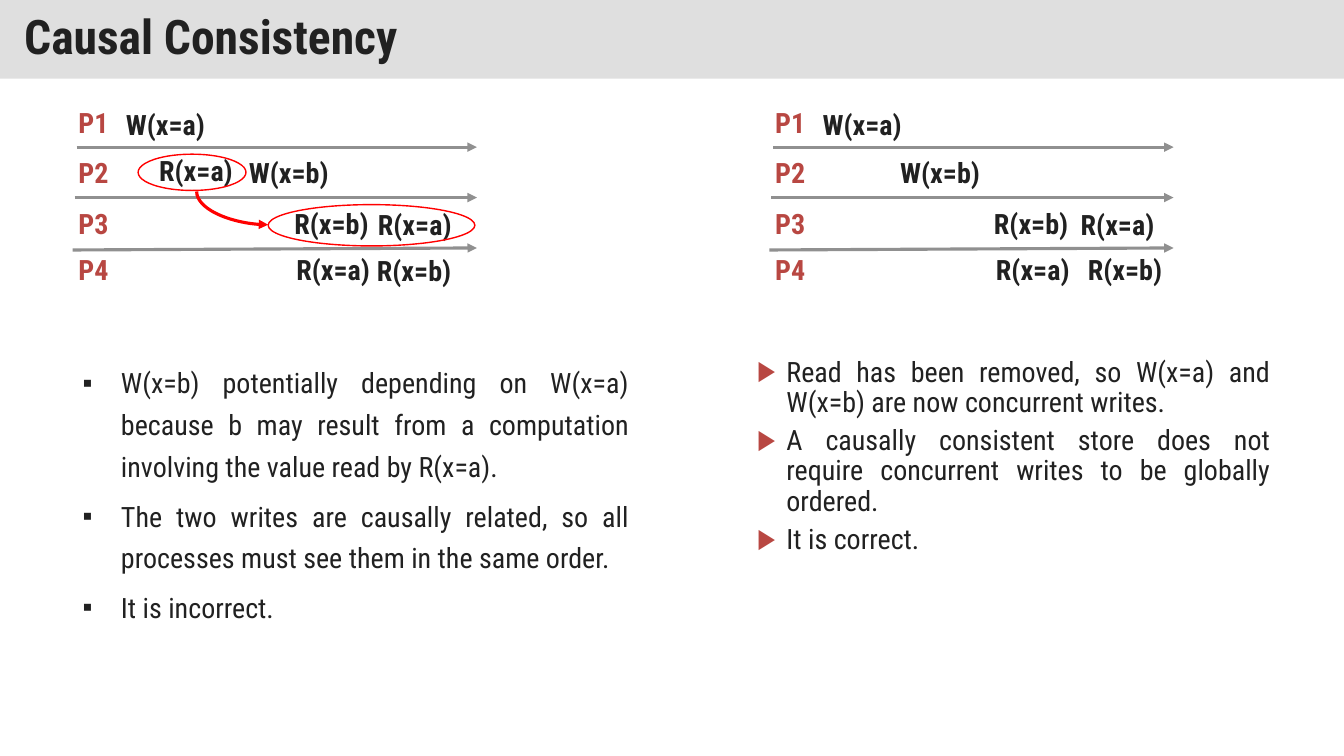
from lxml import etree
from pptx import Presentation
from pptx.dml.color import RGBColor
from pptx.enum.shapes import MSO_CONNECTOR, MSO_SHAPE
from pptx.enum.text import MSO_ANCHOR, MSO_AUTO_SIZE, PP_ALIGN
from pptx.oxml.ns import qn
from pptx.util import Inches, Pt

FONT = "Roboto Condensed"
INK = RGBColor(0x21, 0x21, 0x21)
BRICK = RGBColor(0xB8, 0x47, 0x42)
SILVER = RGBColor(0xC0, 0xC0, 0xC0)
GREY = RGBColor(0x90, 0x90, 0x90)
RED = RGBColor(0xFF, 0x00, 0x00)
STRAIGHT, CURVE = MSO_CONNECTOR.STRAIGHT, MSO_CONNECTOR.CURVE
OVAL = MSO_SHAPE.OVAL
LEFT, JUSTIFY = PP_ALIGN.LEFT, PP_ALIGN.JUSTIFY
TOP, MIDDLE = MSO_ANCHOR.TOP, MSO_ANCHOR.MIDDLE
NO_FIT, FIT_SHAPE = MSO_AUTO_SIZE.NONE, MSO_AUTO_SIZE.SHAPE_TO_FIT_TEXT

TITLE = "Causal Consistency"

# Shared by both diagrams, relative to the diagram's left edge
PROCESSES = [("P1", 1.0), ("P2", 1.49), ("P3", 2.0), ("P4", 2.46)]
TIMELINES = [(0.08, 1.46, 1.46), (0.06, 1.96, 1.96), (0.04, 2.48, 2.46)]
TIMELINE_END = 4.05

# Diagram left edge, then events as (text, left from that edge, top)
DIAGRAMS = [
    (0.68, [("W(x=a)", 0.47, 1.02),
            ("R(x=a)", 0.8, 1.47), ("W(x=b)", 1.69, 1.49),
            ("R(x=b)", 2.14, 2.0), ("R(x=a)", 2.97, 2.01),
            ("R(x=a)", 2.16, 2.46), ("R(x=b)", 2.96, 2.47)]),
    (7.59, [("W(x=a)", 0.47, 1.02),
            ("W(x=b)", 1.24, 1.49),
            ("R(x=b)", 2.17, 2.0), ("R(x=a)", 3.03, 2.01),
            ("R(x=a)", 2.19, 2.46), ("R(x=b)", 3.1, 2.46)]),
]
ELLIPSES = [(1.37, 1.53, 1.07, 0.36), (2.66, 2.03, 2.05, 0.41)]
ARROW_BOX = (2.14, 1.71, 2.47, 2.42)  # before its quarter turn

# Placeholder index, box, bullet, bullet colour, indent, line spacing, items
LISTS = [
    (1, (0.72, 3.5, 5.62, 3.42), "▪", INK, 0.38, 1.24, [
        "W(x=b) potentially depending on W(x=a) because b may result from "
        "a computation involving the value read by R(x=a).",
        "The two writes are causally related, so all processes must see "
        "them in the same order.",
        "It is incorrect."]),
    (2, (7.41, 3.5, 5.29, 3.36), "▶", BRICK, 0.29, 0.9, [
        "Read has been removed, so W(x=a) and W(x=b) are now concurrent "
        "writes.",
        "A causally consistent store does not require concurrent writes "
        "to be globally ordered.",
        "It is correct."]),
]


def set_all(obj, **values):
    for name, value in values.items():
        setattr(obj, name, value)


def place(shape, left, top, width, height):
    set_all(shape, left=Inches(left), top=Inches(top),
            width=Inches(width), height=Inches(height))


def add_run(p, text, color=INK, size=20, bold=False):
    r = p.add_run()
    r.text = text
    set_all(r.font, name=FONT, size=Pt(size), bold=bold)
    r.font.color.rgb = color


def add_label(s, text, left, top, width, color):
    tb = s.shapes.add_textbox(Inches(left), Inches(top),
                              Inches(width), Inches(0.44))
    set_all(tb.text_frame, word_wrap=False, auto_size=FIT_SHAPE)
    add_run(tb.text_frame.paragraphs[0], text, color, bold=True)


def add_arrow(s, kind, x1, y1, x2, y2, color):
    c = s.shapes.add_connector(kind, Inches(x1), Inches(y1),
                               Inches(x2), Inches(y2))
    c.line.color.rgb = color
    c.line.width = Pt(2.25)
    etree.SubElement(c.line._ln, qn("a:tailEnd"), type="triangle")
    etree.SubElement(c._element.spPr, qn("a:effectLst"))
    return c


def add_bullet(p, char, color, indent):
    pPr = p._p.get_or_add_pPr()
    pPr.set("marL", str(Inches(indent)))
    pPr.set("indent", str(-Inches(indent)))
    bu_color = etree.SubElement(pPr, qn("a:buClr"))
    etree.SubElement(bu_color, qn("a:srgbClr"), val=str(color))
    etree.SubElement(pPr, qn("a:buChar"), char=char)


def add_title(s):
    title = s.shapes.title
    place(title, 0, 0, 13.33, 0.78)
    title.fill.solid()
    title.fill.fore_color.rgb = SILVER
    silver = title._element.spPr.find(".//" + qn("a:srgbClr"))
    etree.SubElement(silver, qn("a:alpha"), val="50000")
    tf = title.text_frame
    set_all(tf, word_wrap=True, auto_size=NO_FIT, vertical_anchor=MIDDLE,
            margin_left=Inches(0.24), margin_right=Inches(0.24),
            margin_top=Inches(0.12), margin_bottom=Inches(0.12))
    p = tf.paragraphs[0]
    set_all(p, alignment=LEFT, line_spacing=0.9)
    add_run(p, TITLE, size=34, bold=True)


def add_diagram(s, left, events):
    for start, y1, y2 in TIMELINES:
        add_arrow(s, STRAIGHT, left + start, y1, left + TIMELINE_END, y2, GREY)
    for name, top in PROCESSES:
        add_label(s, name, left, top, 0.5, BRICK)
    for text, x, top in events:
        width = 1.04 if text.startswith("W") else 0.95
        add_label(s, text, left + x, top, width, INK)


def add_dependency(s):
    """Circle the related reads and join them with a curved arrow."""
    for box in ELLIPSES:
        oval = s.shapes.add_shape(OVAL, *map(Inches, box))
        oval.shadow.inherit = False
        oval.fill.background()
        oval.line.color.rgb = RED
        oval.line.width = Pt(1)
    curve = add_arrow(s, CURVE, *ARROW_BOX, RED)
    spPr = curve._element.spPr
    spPr.find(qn("a:prstGeom")).set("prst", "curvedConnector2")
    xfrm = spPr.find(qn("a:xfrm"))
    xfrm.set("rot", str(270 * 60000))
    xfrm.set("flipH", "1")


def add_list(s, idx, box, char, color, indent, spacing, items):
    body = s.placeholders[idx]
    place(body, *box)
    tf = body.text_frame
    set_all(tf, word_wrap=True, auto_size=NO_FIT, vertical_anchor=TOP)
    for i, item in enumerate(items):
        p = tf.add_paragraph() if i else tf.paragraphs[0]
        add_bullet(p, char, color, indent)
        set_all(p, alignment=JUSTIFY, line_spacing=spacing,
                space_before=Pt(5.8 if i else 0))
        add_run(p, item)


def main():
    prs = Presentation()
    set_all(prs, slide_width=Inches(13.33), slide_height=Inches(7.5))
    s = prs.slides.add_slide(prs.slide_layouts.get_by_name("Two Content"))
    add_title(s)
    for left, events in DIAGRAMS:
        add_diagram(s, left, events)
    add_dependency(s)
    for entry in LISTS:
        add_list(s, *entry)
    prs.save("out.pptx")


if __name__ == "__main__":
    main()
